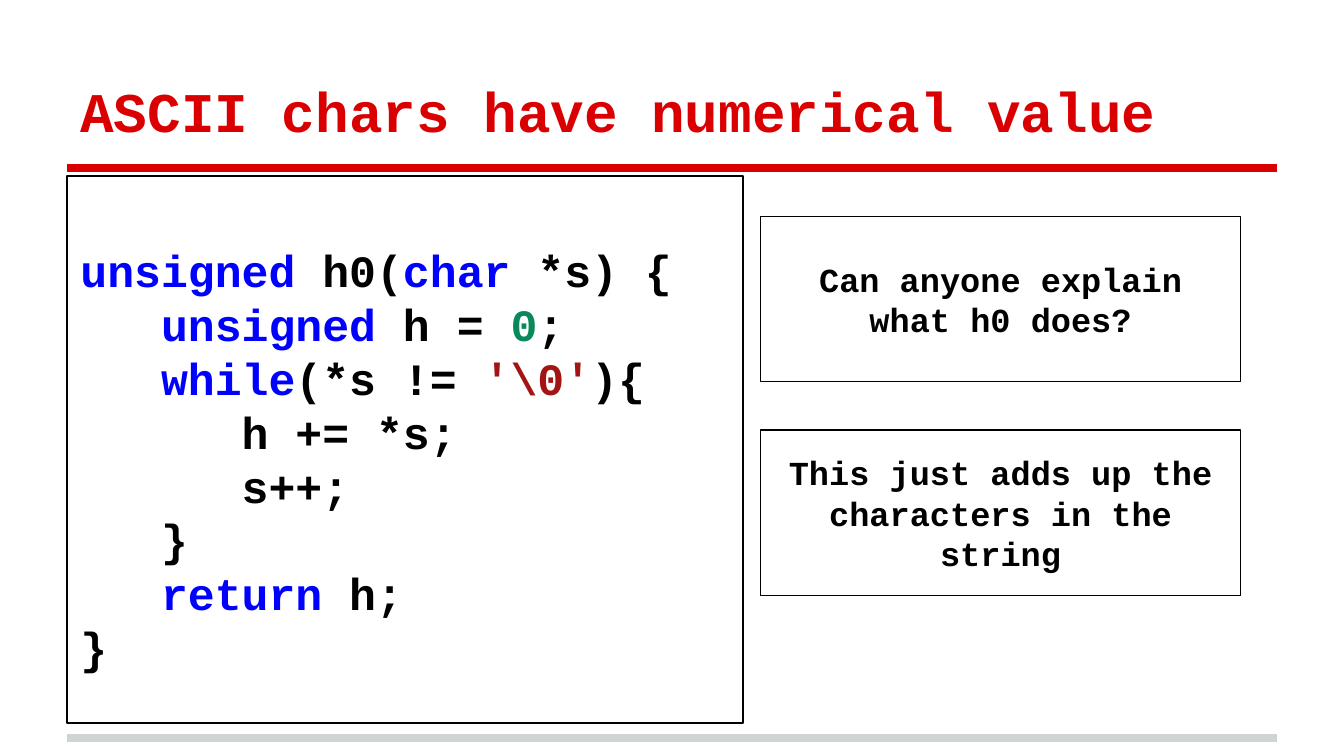
import pptx
import pptx.util
import pptx.dml.color
import pptx.enum.shapes
import pptx.enum.text
from lxml import etree

In, Pt = pptx.util.Inches, pptx.util.Pt
ALIGN, ANCHOR = pptx.enum.text.PP_ALIGN, pptx.enum.text.MSO_ANCHOR
W = 10
H = W * 9 / 16
LEFT, RIGHT = 0.5, 9.5
FONT = "Courier New"
BLACK, RED, KEYWORD, NUMBER, STRING = "000000", "DA0002", "0000FF", "09885A", "A31515"
INDENT = 0.6

TITLE = "ASCII chars have numerical value"
CODE = [
    (0, [("unsigned", KEYWORD), (" h0(", BLACK), ("char", KEYWORD), (" *s) {", BLACK)]),
    (1, [("unsigned", KEYWORD), (" h = ", BLACK), ("0", NUMBER), (";", BLACK)]),
    (1, [("while", KEYWORD), ("(*s != ", BLACK), ("'\\0'", STRING), ("){", BLACK)]),
    (2, [("h += *s;", BLACK)]),
    (2, [("s++;", BLACK)]),
    (1, [("}", BLACK)]),
    (1, [("return", KEYWORD), (" h;", BLACK)]),
    (0, [("}", BLACK)]),
]
NOTES = ["Can anyone explain what h0 does?", "This just adds up the characters in the string"]
RULES = [(5.49, "CFD4D4"), (1.25, RED)]

prs = pptx.Presentation()
prs.slide_width, prs.slide_height = In(W), In(H)
s = prs.slides.add_slide(prs.slide_layouts[6])


def rgb(value):
    return pptx.dml.color.RGBColor.from_string(value)


def add_text(lines, box, size, align=ALIGN.LEFT, anchor=ANCHOR.TOP, top_inset=0.1, outline=BLACK):
    if outline:
        sp = s.shapes.add_shape(pptx.enum.shapes.MSO_SHAPE.RECTANGLE, *map(In, box))
        sp.shadow.inherit = False
        sp.fill.background()
        sp.line.color.rgb = rgb(outline)
        sp.line.width = Pt(0.75)
    else:
        sp = s.shapes.add_textbox(*map(In, box))
    tf = sp.text_frame
    tf.word_wrap = True
    tf.vertical_anchor = anchor
    tf.margin_left = tf.margin_right = tf.margin_bottom = In(0.1)
    tf.margin_top = In(top_inset)
    for i, (level, runs) in enumerate(lines):
        p = tf.add_paragraph() if i else tf.paragraphs[0]
        p.alignment = align
        if level:
            p._p.get_or_add_pPr().set("marL", str(In(level * INDENT)))
        for text, color in runs:
            r = p.add_run()
            r.text = text
            r.font.name, r.font.size, r.font.bold = FONT, Pt(size), True
            r.font.color.rgb = rgb(color)


for y, color in RULES:
    rule = s.shapes.add_connector(pptx.enum.shapes.MSO_CONNECTOR.STRAIGHT, In(LEFT), In(y), In(RIGHT), In(y))
    rule.line.color.rgb = rgb(color)
    rule.line.width = Pt(4)
    etree.SubElement(rule._element.spPr, pptx.oxml.ns.qn("a:effectLst"))

add_text([(0, [(TITLE, RED)])], (LEFT, 0.23, RIGHT - LEFT, 0.94), 30, anchor=ANCHOR.BOTTOM, outline=None)
add_text(CODE, (LEFT, 1.31, 5.03, 4.07), 24, top_inset=0.5)
for i, note in enumerate(NOTES):
    add_text([(0, [(note, BLACK)])], (5.66, 1.61 + i * 1.59, 3.57, 1.23), 18, ALIGN.CENTER, ANCHOR.MIDDLE)

prs.save("out.pptx")
